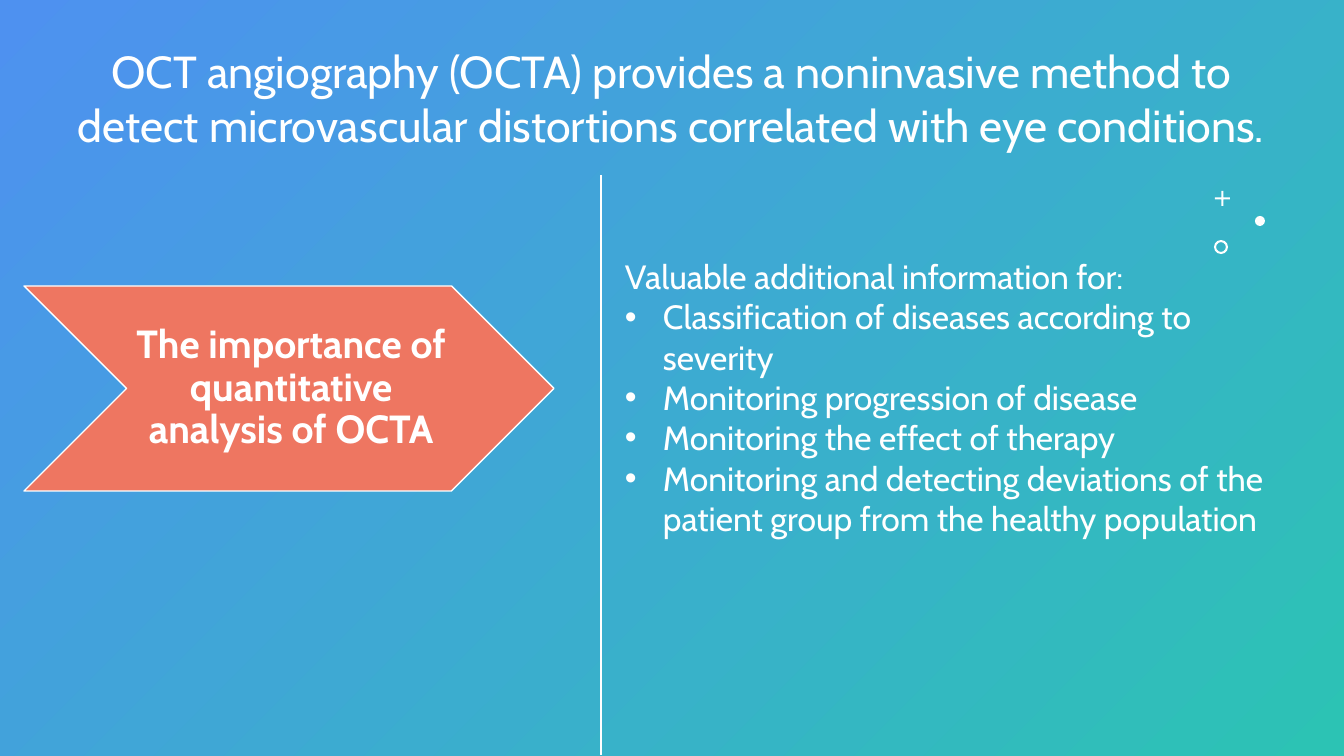
from dataclasses import dataclass

from lxml.etree import SubElement
from pptx import Presentation
from pptx.dml.color import RGBColor
from pptx.enum.shapes import MSO_CONNECTOR as Connector, MSO_SHAPE as Preset
from pptx.enum.text import MSO_ANCHOR as Anchor, MSO_AUTO_SIZE as AutoSize, PP_ALIGN as Align
from pptx.oxml.ns import qn
from pptx.util import Pt

TITLE = ("OCT angiography (OCTA) provides a noninvasive method to detect "
         "microvascular distortions correlated with eye conditions.")
CALLOUT = "The importance of quantitative analysis of OCTA"
LEAD = "Valuable additional information for:"
USES = [
    "Classification of diseases according to severity",
    "Monitoring progression of disease",
    "Monitoring the effect of therapy",
    "Monitoring and detecting deviations of the patient group from the healthy population",
]
# preset, left, top, size, adjustment
ORNAMENTS = [
    (Preset.CROSS, 1215, 191, 15, 0.43),
    (Preset.OVAL, 1255, 216, 10, None),
    (Preset.DONUT, 1214, 240, 14, 0.15),
]


@dataclass(frozen=True)
class Theme:
    font: str = "Cabin"
    white: RGBColor = RGBColor(0xFF, 0xFF, 0xFF)
    blue: RGBColor = RGBColor(0x4E, 0x91, 0xF0)
    teal: RGBColor = RGBColor(0x2C, 0xC3, 0xB4)
    coral: RGBColor = RGBColor(0xEE, 0x76, 0x61)
    title_size: int = 32
    callout_size: int = 28
    body_size: int = 24


THEME = Theme()
BULLET_INDENT = 38


def px(length):
    return round(length * 914400 / 100.8)


def style(para, size, bold=False, align=Align.LEFT):
    para.alignment = align
    para.font.name = THEME.font
    para.font.size = Pt(size)
    para.font.bold = bold
    para.font.color.rgb = THEME.white


def add_bullet(para):
    props = para._p.get_or_add_pPr()
    props.set("marL", str(px(BULLET_INDENT)))
    props.set("indent", str(-px(BULLET_INDENT)))
    SubElement(props, qn("a:buFont"), typeface="Arial")
    SubElement(props, qn("a:buChar"), char="•")


def add_preset(page, preset, left, top, width, height, fill, adjustment=None):
    shape = page.shapes.add_shape(preset, px(left), px(top), px(width), px(height))
    shape.shadow.inherit = False
    shape.fill.solid()
    shape.fill.fore_color.rgb = fill
    shape.line.fill.background()
    if adjustment is not None:
        shape.adjustments[0] = adjustment
    return shape


def paint_background(page):
    fill = page.background.fill
    fill.gradient()
    fill.gradient_angle = 315
    for stop, color in zip(fill.gradient_stops, (THEME.blue, THEME.teal)):
        stop.color.rgb = color
    fill.gradient_stops[0].position = 0
    fill.gradient_stops[1].position = 1


def write_title(page):
    title = page.shapes.title
    title.left, title.top, title.width, title.height = map(px, (38, 39, 1267, 119))
    frame = title.text_frame
    frame.text = TITLE
    frame.word_wrap = True
    frame.auto_size = AutoSize.NONE
    frame.vertical_anchor = Anchor.TOP
    style(frame.paragraphs[0], THEME.title_size, align=Align.CENTER)


def add_callout(page):
    chevron = add_preset(page, Preset.CHEVRON, 24, 286, 530, 205, THEME.coral, 0.5)
    chevron.line.color.rgb = THEME.white
    chevron.line.width = Pt(1)
    frame = chevron.text_frame
    frame.word_wrap = True
    frame.vertical_anchor = Anchor.MIDDLE
    frame.margin_left, frame.margin_right = px(4), 0
    frame.margin_top = frame.margin_bottom = px(2)
    frame.text = CALLOUT
    para = frame.paragraphs[0]
    para.line_spacing = 0.9
    style(para, THEME.callout_size, bold=True, align=Align.CENTER)


def add_divider(page):
    line = page.shapes.add_connector(Connector.STRAIGHT, px(601), px(175), px(601), px(755))
    line.line.color.rgb = THEME.white
    line.line.width = Pt(2)
    SubElement(line._element.spPr, qn("a:effectLst"))


def add_uses(page):
    box = page.shapes.add_textbox(px(615), px(251), px(690), px(298))
    frame = box.text_frame
    frame.word_wrap = True
    frame.text = "\n".join([LEAD, *USES])
    for para in frame.paragraphs[1:]:
        add_bullet(para)
    for para in frame.paragraphs:
        style(para, THEME.body_size)


def main():
    deck = Presentation()
    deck.slide_width, deck.slide_height = px(1344), px(756)
    page = deck.slides.add_slide(deck.slide_layouts.get_by_name("Title Only"))
    paint_background(page)
    write_title(page)
    add_callout(page)
    add_divider(page)
    for preset, left, top, size, adjustment in ORNAMENTS:
        add_preset(page, preset, left, top, size, size, THEME.white, adjustment)
    add_uses(page)
    deck.save("out.pptx")


if __name__ == "__main__":
    main()
